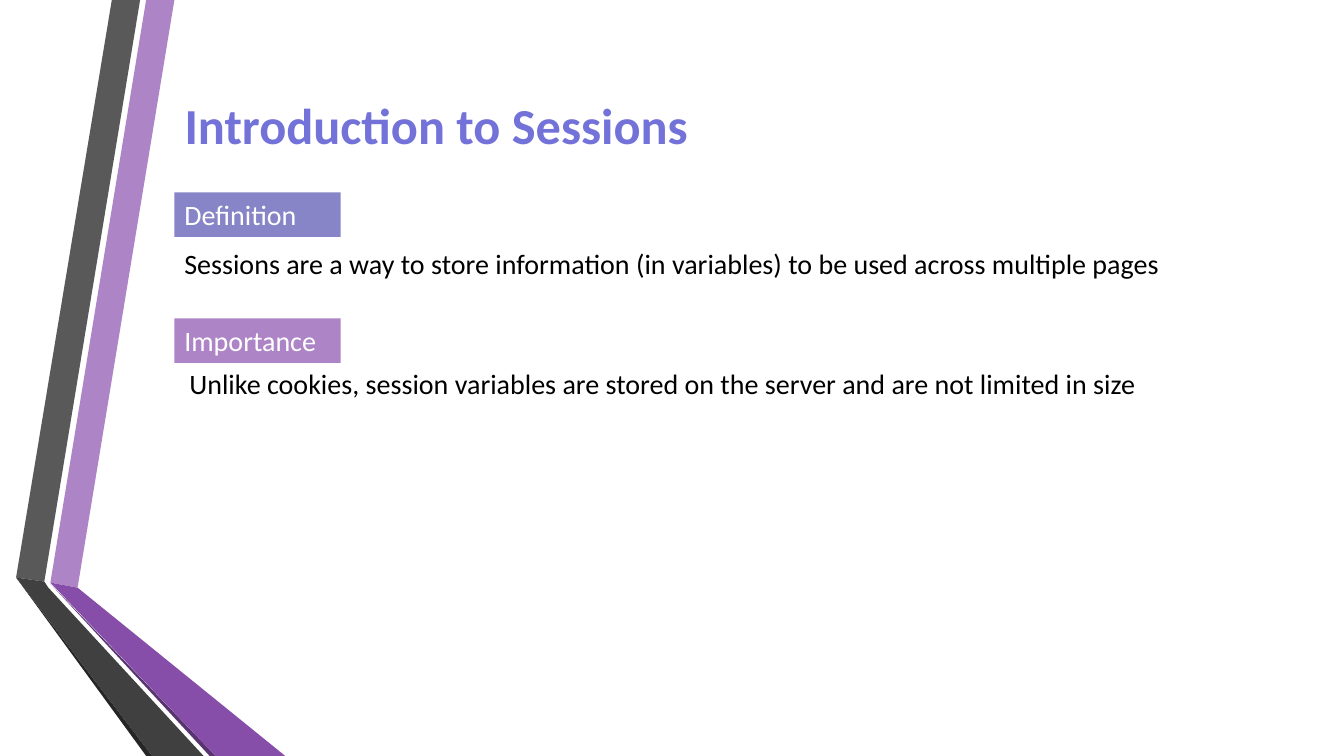
import pptx
import pptx.dml.color
import pptx.enum.text
import pptx.util

SLIDE_W, SLIDE_H = 13.33, 7.5

COLORS = {
    "title": "7372D8", "periwinkle": "8784C7", "lilac": "AD84C6",
    "violet": "874EA9", "plum": "5A3471",
    "gray": "595959", "charcoal": "404040", "soot": "262626",
    "text": "000000", "white": "FFFFFF",
}
FONT = "Calibri"

TITLE = "Introduction to Sessions"
# heading, heading fill, statement, statement left, statement offset below heading top
SECTIONS = [
    ("Definition", "periwinkle",
     "Sessions are a way to store information (in variables) to be used across multiple pages",
     1.73, 0.49),
    ("Importance", "lilac",
     "Unlike cookies, session variables are stored on the server and are not limited in size",
     1.78, 0.43),
]

# Folded ribbons at the left edge, back to front
RIBBONS = [
    ("lilac", [(0.5, 5.78), (0.77, 5.83), (1.73, 0), (1.45, 0)]),
    ("gray", [(1.39, 0), (1.11, 0), (0.16, 5.73), (0.44, 5.77)]),
    ("soot", [(0.16, 5.73), (1.45, SLIDE_H), (1.51, SLIDE_H)]),
    ("plum", [(0.5, 5.79), (2.08, SLIDE_H), (2.14, SLIDE_H)]),
    ("violet", [(0.5, 5.78), (2.14, SLIDE_H), (2.83, SLIDE_H), (0.77, 5.83)]),
    ("charcoal", [(2.02, SLIDE_H), (0.48, 5.83), (0.44, 5.77), (0.16, 5.73), (1.51, SLIDE_H)]),
]

LEFT = 1.73
TITLE_TOP, TITLE_W, TITLE_H = 0.88, 5.51, 0.71
SECTIONS_TOP, SECTION_PITCH = 1.91, 1.25
HEADING_W, STATEMENT_W, ROW_H = 1.65, 9.97, 0.44


def inches(*lengths):
    return [pptx.util.Inches(length) for length in lengths]


def rgb(color):
    return pptx.dml.color.RGBColor.from_string(COLORS[color])


def paint(shape, color):
    shape.shadow.inherit = False
    shape.fill.solid()
    shape.fill.fore_color.rgb = rgb(color)
    shape.line.fill.background()


def write(shape, text, size=20, color="text", bold=False):
    frame = shape.text_frame
    frame.word_wrap = True
    frame.auto_size = pptx.enum.text.MSO_AUTO_SIZE.NONE
    frame.vertical_anchor = pptx.enum.text.MSO_ANCHOR.TOP
    paragraph = frame.paragraphs[0]
    paragraph.alignment = pptx.enum.text.PP_ALIGN.LEFT
    paragraph.line_spacing = 1.0
    run = paragraph.add_run()
    run.text = text
    run.font.name = FONT
    run.font.size = pptx.util.Pt(size)
    run.font.bold = bold
    run.font.color.rgb = rgb(color)


def add_ribbon(shapes, color, corners):
    start, *others = [inches(*corner) for corner in corners]
    outline = shapes.build_freeform(*start)
    outline.add_line_segments(others, close=True)
    paint(outline.convert_to_shape(), color)


def add_section(shapes, top, heading, fill, statement, statement_left, offset):
    label = shapes.add_textbox(*inches(LEFT, top, HEADING_W, ROW_H))
    paint(label, fill)
    write(label, heading, color="white")
    body = shapes.add_textbox(*inches(statement_left, top + offset, STATEMENT_W, ROW_H))
    write(body, statement)


def main():
    deck = pptx.Presentation()
    deck.slide_width, deck.slide_height = inches(SLIDE_W, SLIDE_H)
    shapes = deck.slides.add_slide(deck.slide_layouts[5]).shapes

    for color, corners in RIBBONS:
        add_ribbon(shapes, color, corners)

    title = shapes.title
    title.left, title.top, title.width, title.height = inches(LEFT, TITLE_TOP, TITLE_W, TITLE_H)
    write(title, TITLE, size=36, color="title", bold=True)

    for row, section in enumerate(SECTIONS):
        add_section(shapes, SECTIONS_TOP + row * SECTION_PITCH, *section)

    deck.save("out.pptx")


if __name__ == "__main__":
    main()
